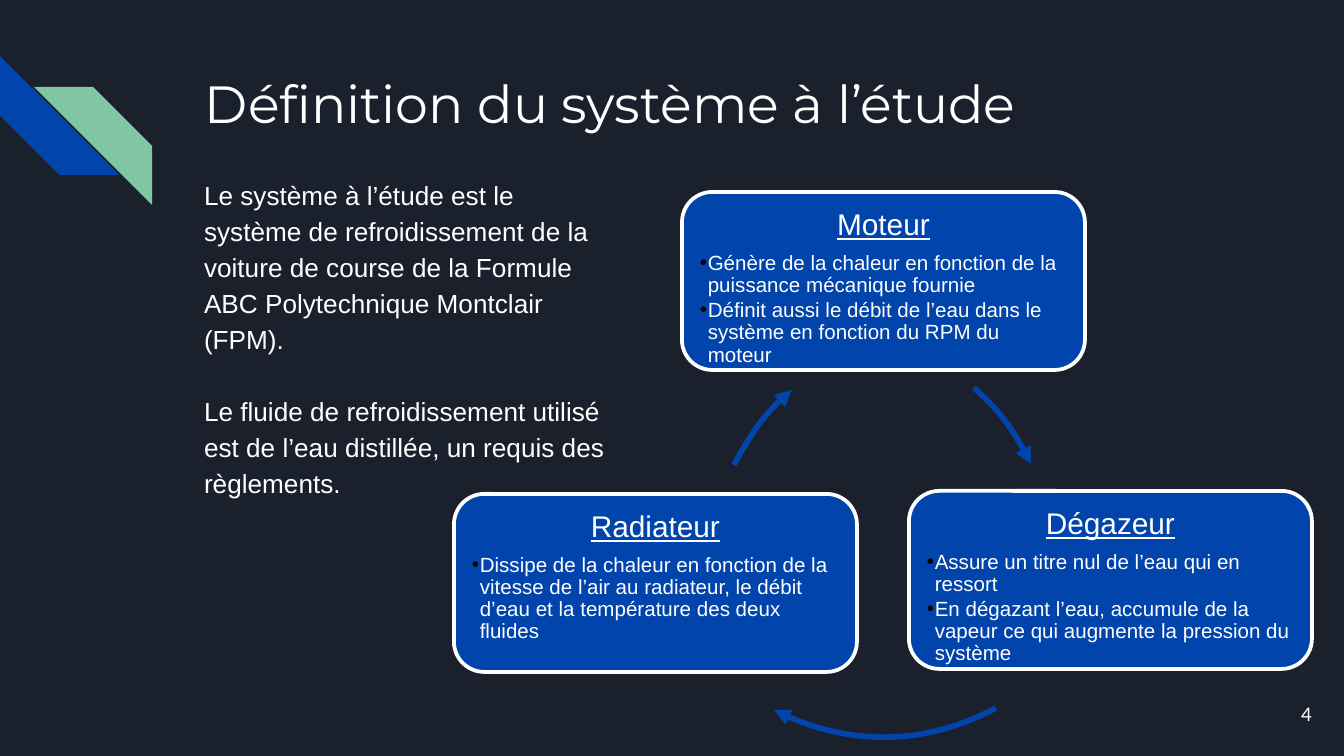
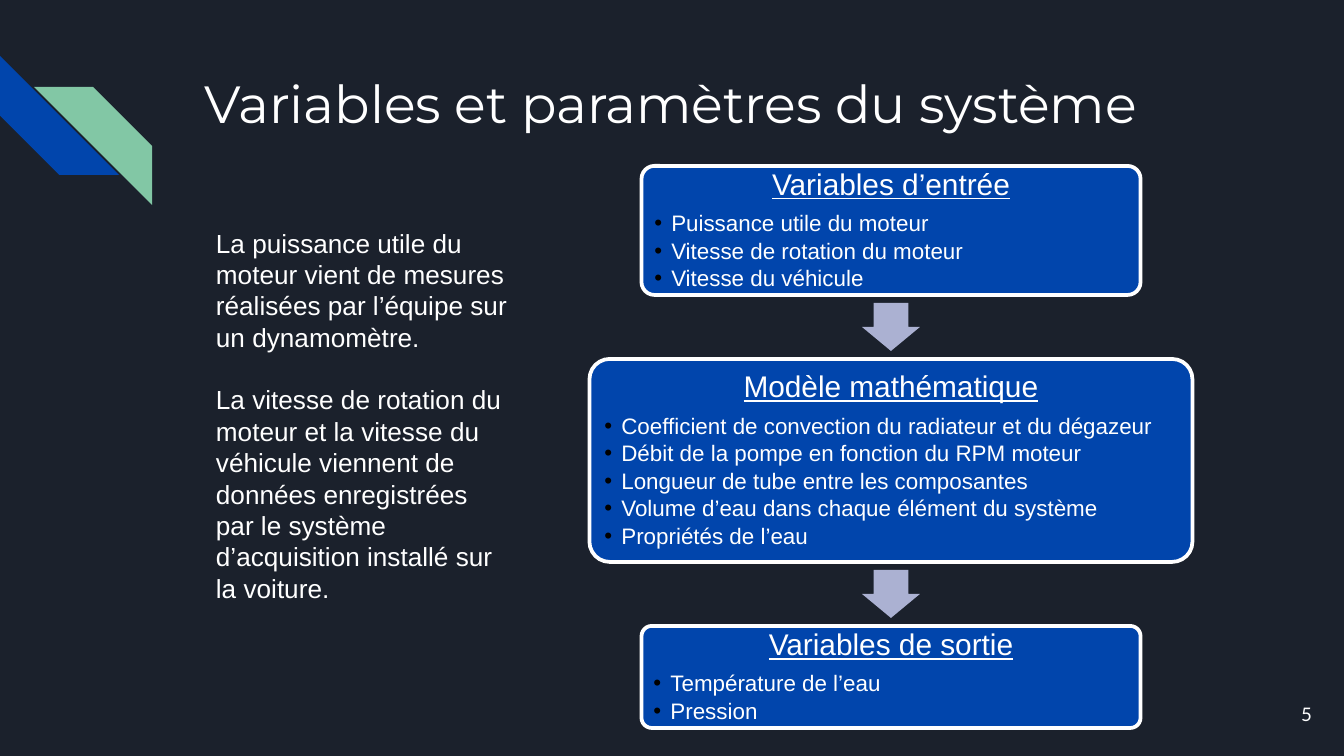
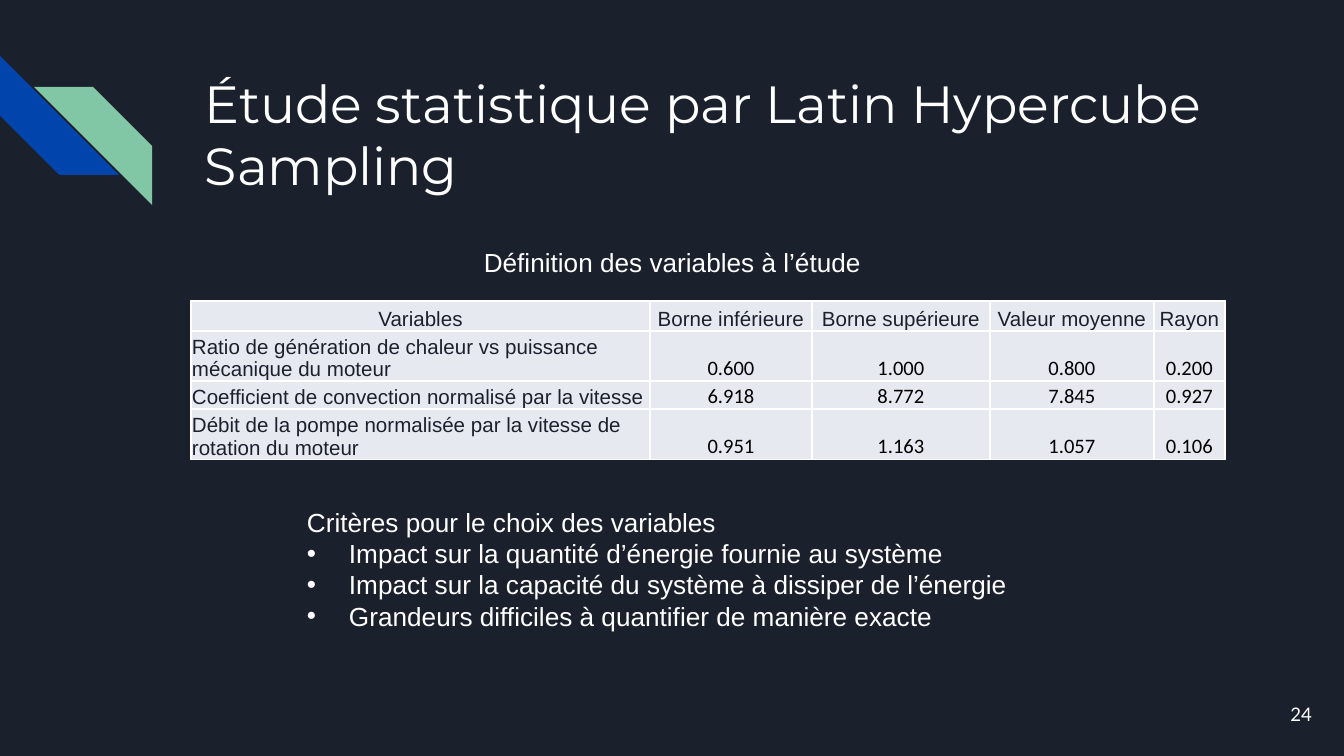
"""Build three slides on the cooling system of a race car."""
from pptx import Presentation
from pptx.dml.color import RGBColor
from pptx.enum.shapes import MSO_SHAPE
from pptx.enum.text import MSO_ANCHOR, PP_ALIGN
from pptx.oxml.ns import qn
from pptx.util import Emu, Pt
from lxml import etree

NAVY = RGBColor(0x1B, 0x21, 0x2C)
BLUE = RGBColor(0x01, 0x45, 0xAC)
GREEN = RGBColor(0x82, 0xC7, 0xA5)
LILAC = RGBColor(0xAB, 0xB1, 0xD2)
PALE = RGBColor(0xE7, 0xE9, 0xF1)
WHITE = RGBColor(0xFF, 0xFF, 0xFF)
BLACK = RGBColor(0x00, 0x00, 0x00)

STRIPE = MSO_SHAPE.DIAGONAL_STRIPE
ROUND = MSO_SHAPE.ROUNDED_RECTANGLE
DOWN = MSO_SHAPE.DOWN_ARROW
LEFT, MID, RIGHT = PP_ALIGN.LEFT, PP_ALIGN.CENTER, PP_ALIGN.RIGHT
TOP, CENTER, BASE = MSO_ANCHOR.TOP, MSO_ANCHOR.MIDDLE, MSO_ANCHOR.BOTTOM

WIDE, HIGH = 1344, 756
SCALE = 914400 / 134.4

STRIPES = [((0, 56, 119, 119), 270, BLUE), ((34, 87, 118, 118), 90, GREEN)]

STUDY = [
    "Le système à l’étude est le système de refroidissement de la voiture "
    "de course de la Formule ABC Polytechnique Montclair (FPM).",
    "Le fluide de refroidissement utilisé est de l’eau distillée, "
    "un requis des règlements.",
]
CYCLE = [
    ((682, 192), "Moteur", [
        "Génère de la chaleur en fonction de la puissance mécanique fournie",
        "Définit aussi le débit de l’eau dans le système en fonction du RPM "
        "du moteur"]),
    ((909, 491), "Dégazeur", [
        "Assure un titre nul de l’eau qui en ressort",
        "En dégazant l’eau, accumule de la vapeur ce qui augmente la pression "
        "du système"]),
    ((454, 494), "Radiateur", [
        "Dissipe de la chaleur en fonction de la vitesse de l’air au radiateur, "
        "le débit d’eau et la température des deux fluides"]),
]
RING = 474
CURVES = [
    ((581, 329), [(974, 388), (999, 410), (1017, 435), (1031, 464)]),
    ((646, 261), [(996, 708), (927, 745), (844, 746), (774, 710)]),
    ((711, 329), [(734, 465), (749, 437), (767, 410), (792, 390)]),
]

SOURCES = [
    "La puissance utile du moteur vient de mesures réalisées par l’équipe "
    "sur un dynamomètre.",
    "La vitesse de rotation du moteur et la vitesse du véhicule viennent de "
    "données enregistrées par le système d’acquisition installé sur la voiture.",
]
FLOW = [
    (166, 499, 129, "Variables d’entrée", [
        "Puissance utile du moteur", "Vitesse de rotation du moteur",
        "Vitesse du véhicule"]),
    (359, 603, 203, "Modèle mathématique", [
        "Coefficient de convection du radiateur et du dégazeur",
        "Débit de la pompe en fonction du RPM moteur",
        "Longueur de tube entre les composantes",
        "Volume d’eau dans chaque élément du système",
        "Propriétés de l’eau"]),
    (626, 499, 102, "Variables de sortie", [
        "Température de l’eau", "Pression"]),
]
AXIS = 891

COLS = [459, 162, 178, 164, 71]
ROWS = [30, 28, 28, 30]
BOUNDS = [
    ("Variables", "Borne inférieure", "Borne supérieure", "Valeur moyenne",
     "Rayon"),
    ("Ratio de génération de chaleur vs puissance mécanique du moteur",
     "0.600", "1.000", "0.800", "0.200"),
    ("Coefficient de convection normalisé par la vitesse",
     "6.918", "8.772", "7.845", "0.927"),
    ("Débit de la pompe normalisée par la vitesse de rotation du moteur",
     "0.951", "1.163", "1.057", "0.106"),
]
REASONS = [
    "Impact sur la quantité d’énergie fournie au système",
    "Impact sur la capacité du système à dissiper de l’énergie",
    "Grandeurs difficiles à quantifier de manière exacte",
]


def px(n):
    return Emu(round(n * SCALE))


def place(box):
    return [px(n) for n in box]


def write(frame, text, size, font="Arial", color=WHITE, align=LEFT,
          space=None, before=0, after=0, line=False):
    para = frame.paragraphs[0]
    if para.runs:
        para = frame.add_paragraph()
    para.alignment = align
    para.space_before, para.space_after = Pt(before), Pt(after)
    if space:
        para.line_spacing = space
    run = para.add_run()
    run.text = text
    run.font.name, run.font.size = font, Pt(size)
    run.font.color.rgb = color
    run.font.underline = line
    return para


def bullet(para, dent, color):
    props = para._p.get_or_add_pPr()
    props.set("marL", str(px(dent)))
    props.set("indent", str(-px(dent)))
    tint = etree.SubElement(props, qn("a:buClr"))
    etree.SubElement(tint, qn("a:srgbClr"), val=str(color))
    etree.SubElement(props, qn("a:buFont"), typeface="Arial")
    etree.SubElement(props, qn("a:buChar"), char="•")


def setup(frame, side, edge, anchor=TOP):
    frame.word_wrap = True
    frame.vertical_anchor = anchor
    frame.margin_left = frame.margin_right = px(side)
    frame.margin_top = frame.margin_bottom = px(edge)
    return frame


def area(slide, box, edge=13, anchor=TOP):
    return setup(slide.shapes.add_textbox(*place(box)).text_frame,
                 13, edge, anchor)


def shape(slide, kind, box, fill):
    item = slide.shapes.add_shape(kind, *place(box))
    item.shadow.inherit = False
    item.fill.solid()
    item.fill.fore_color.rgb = fill
    item.line.fill.background()
    return item


def card(slide, box, head, points, size, dent, anchor, curve):
    item = shape(slide, ROUND, box, BLUE)
    item.adjustments[0] = curve
    item.line.color.rgb = WHITE
    item.line.width = Pt(2)
    frame = setup(item.text_frame, 9, 9, anchor)
    write(frame, head, 16, align=MID, space=0.9, after=5.6, line=True)
    for text in points:
        para = write(frame, text, size, space=0.9, after=0.15 * size)
        bullet(para, dent, BLACK)


def bend(slide, spot, ends):
    dots = [place(dot) for dot in ends]
    draft = slide.shapes.build_freeform(*dots[0])
    draft.add_line_segments(dots[1:], close=False)
    item = draft.convert_to_shape()
    item.left, item.top, item.width, item.height = place((*spot, RING, RING))
    route = item.element.spPr.find(".//" + qn("a:path"))
    for node in list(route):
        route.remove(node)
    route.set("w", str(px(RING)))
    route.set("h", str(px(RING)))
    for tag, group in (("a:moveTo", dots[:1]), ("a:cubicBezTo", dots[1:])):
        step = etree.SubElement(route, qn(tag))
        for x, y in group:
            etree.SubElement(step, qn("a:pt"), x=str(x - item.left),
                             y=str(y - item.top))
    item.shadow.inherit = False
    item.fill.background()
    item.line.color.rgb = BLUE
    item.line.width = Pt(3)
    edge = item.element.spPr.find(qn("a:ln"))
    etree.SubElement(edge, qn("a:tailEnd"), type="triangle")


def start(deck, title, number):
    slide = deck.slides.add_slide(deck.slide_layouts[6])
    slide.background.fill.solid()
    slide.background.fill.fore_color.rgb = NAVY
    for box, turn, color in STRIPES:
        item = shape(slide, STRIPE, box, color)
        item.adjustments[0] = 0.5
        item.rotation = turn
    write(area(slide, (192, 58, 1035, 134)), title, 28, "Montserrat")
    write(area(slide, (1244, 685, 81, 58), anchor=CENTER), number, 10, "Lato",
          align=RIGHT)
    return slide


def prose(frame, texts, gap, space=None):
    for i, text in enumerate(texts):
        write(frame, text, 14, space=space, before=gap if i else 0)


def study(deck):
    slide = start(deck, "Définition du système à l’étude", "4")
    prose(area(slide, (191, 162, 433, 433)), STUDY, 19, 1.15)
    for spot, head, points in CYCLE:
        card(slide, (*spot, 403, 178), head, points, 11, 8, TOP, 0.17)
    for spot, ends in CURVES:
        bend(slide, spot, ends)


def model(deck):
    slide = start(deck, "Variables et paramètres du système", "5")
    for top, wide, high, head, points in FLOW:
        card(slide, (AXIS - wide / 2, top, wide, high), head, points, 12, 17,
             CENTER, 0.1)
    for prev, after in zip(FLOW, FLOW[1:]):
        mid = (prev[0] + prev[2] + after[0]) / 2
        item = shape(slide, DOWN, (AXIS - 29, mid - 24, 58, 48), LILAC)
        item.adjustments[0] = 0.6
        item.adjustments[1] = 0.5
    prose(area(slide, (203, 220, 323, 361), 7), SOURCES, 16.8)


def border(cell):
    props = cell._tc.get_or_add_tcPr()
    for side in ("a:lnL", "a:lnR", "a:lnT", "a:lnB"):
        edge = etree.SubElement(props, qn(side), w=str(Pt(1)))
        paint = etree.SubElement(edge, qn("a:solidFill"))
        etree.SubElement(paint, qn("a:srgbClr"), val=str(WHITE))


def grid(slide):
    box = (191, 301, sum(COLS), sum(ROWS))
    table = slide.shapes.add_table(len(ROWS), len(COLS), *place(box)).table
    table.first_row = table.horz_banding = False
    for col, wide in zip(table.columns, COLS):
        col.width = px(wide)
    for r, texts in enumerate(BOUNDS):
        table.rows[r].height = px(ROWS[r])
        for c, text in enumerate(texts):
            cell = table.cell(r, c)
            border(cell)
            cell.fill.solid()
            cell.fill.fore_color.rgb = PALE
            cell.vertical_anchor = BASE
            cell.margin_left = cell.margin_right = cell.margin_top = px(1)
            cell.margin_bottom = 0
            value = r and c
            write(cell.text_frame, text, 11, "Calibri" if value else "Arial",
                  BLACK if value else NAVY, LEFT if r and not c else MID)


def stats(deck):
    slide = start(deck, "Étude statistique par Latin Hypercube Sampling", "24")
    grid(slide)
    write(area(slide, (403, 239, 539, 46), 7),
          "Définition des variables à l’étude", 14, align=MID)
    frame = area(slide, (294, 499, 757, 140), 7)
    write(frame, "Critères pour le choix des variables", 14)
    for text in REASONS:
        bullet(write(frame, text, 14), 42, WHITE)


def main():
    deck = Presentation()
    deck.slide_width, deck.slide_height = px(WIDE), px(HIGH)
    study(deck)
    model(deck)
    stats(deck)
    deck.save("out.pptx")


if __name__ == "__main__":
    main()
